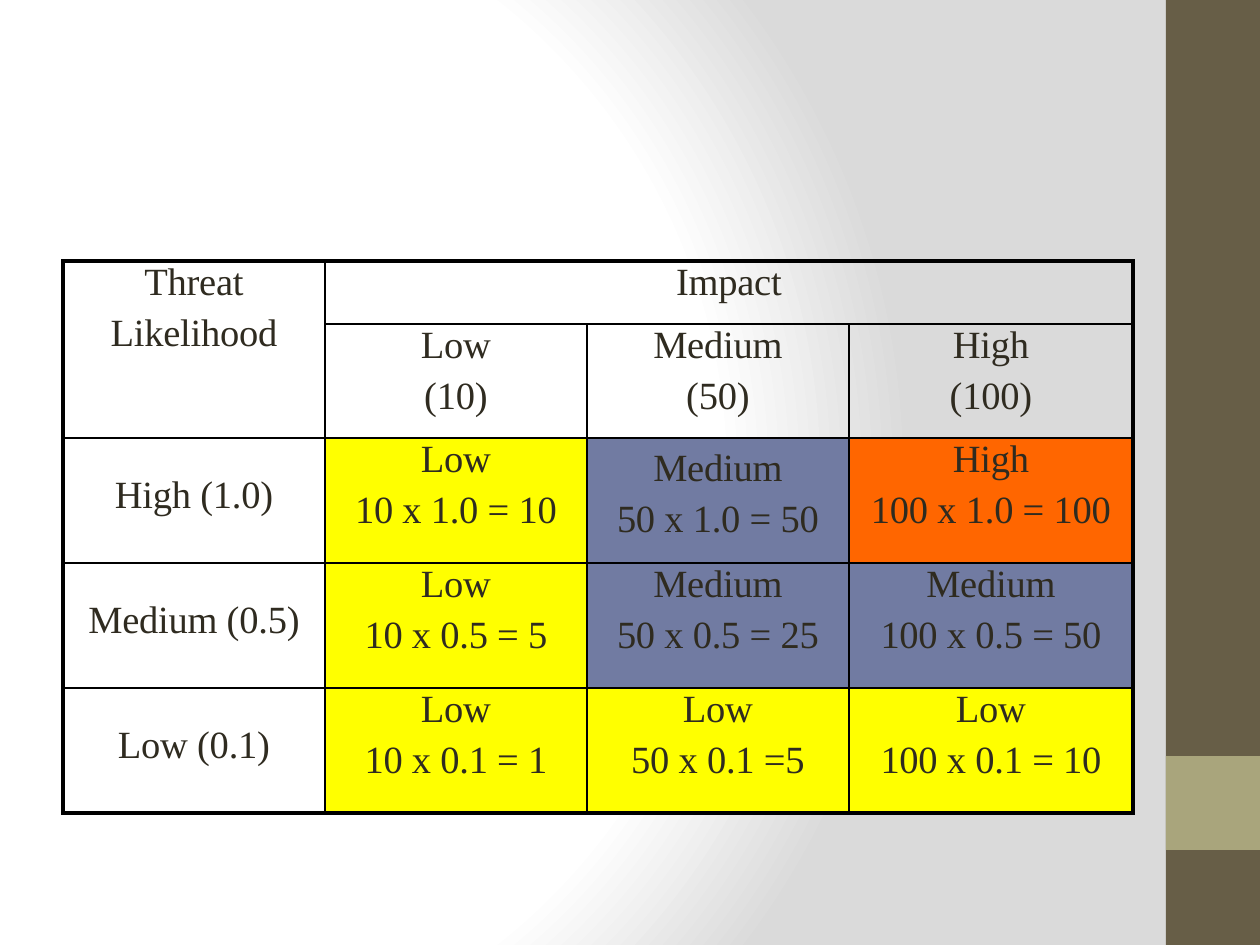
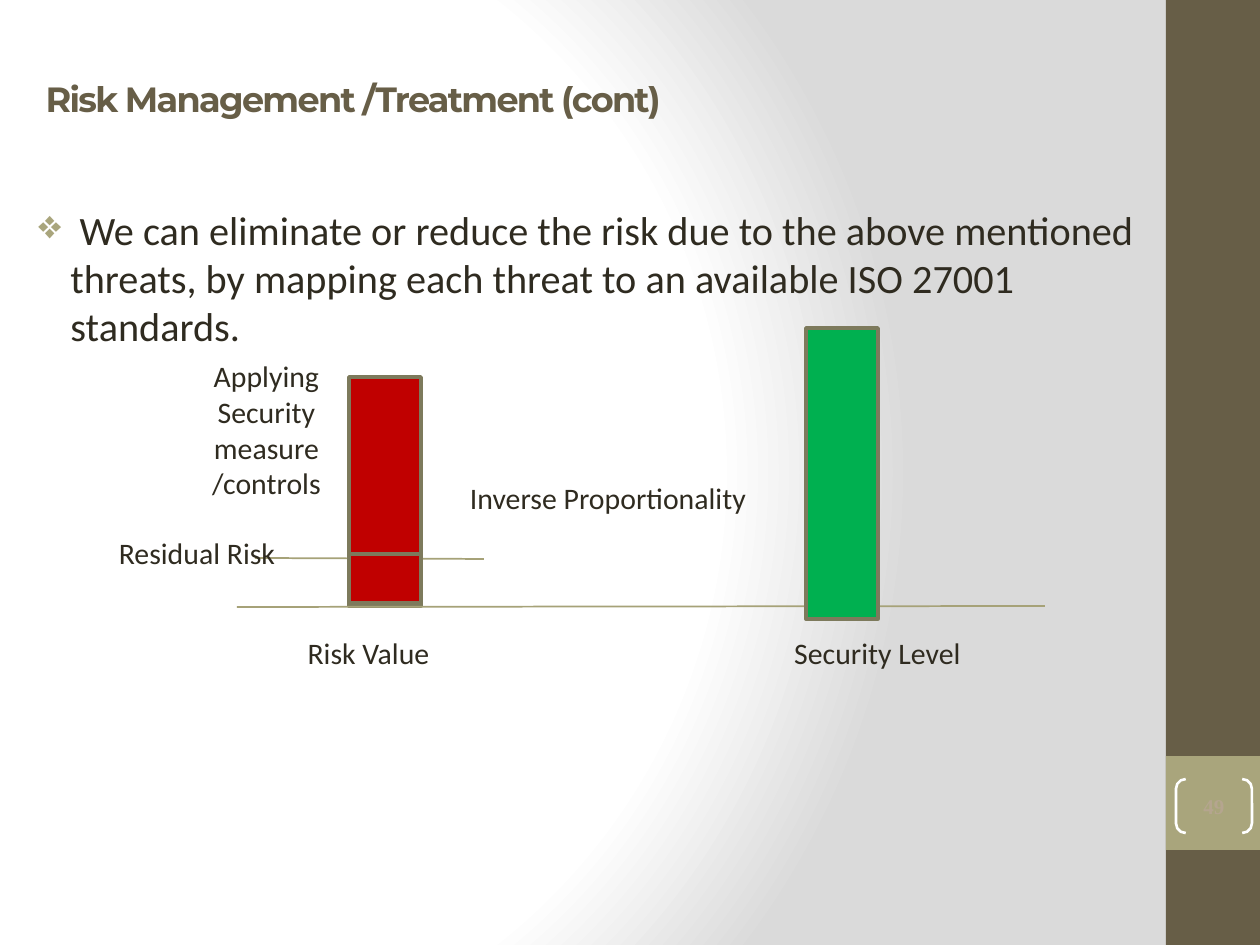
import lxml.etree
import pptx
import pptx.dml.color
import pptx.enum.shapes
import pptx.enum.text
import pptx.oxml
import pptx.oxml.ns
import pptx.util

EMU_PER_PX = 914400 / 126
SLIDE_WIDTH, SLIDE_HEIGHT = 1260, 945
BROWN, SAGE, INK, WHITE = "675E47", "A9A57C", "2F2B20", "FFFFFF"
BAR_EDGE, RULE, PAGE_NUMBER = "7D7A5C", "A6A278", "B5A58F"
RED, GREEN, BLACK = "C00000", "00B050", "000000"
LEVEL_FILLS = {"Low": "FFFF00", "Medium": "717BA2", "High": "FF6600"}
BODY_FONT, TABLE_FONT, TITLE_FONT = "Calibri", "Times New Roman", "Montserrat"
CENTER = pptx.enum.text.PP_ALIGN.CENTER
LEFT = pptx.enum.text.PP_ALIGN.LEFT
TOP = pptx.enum.text.MSO_ANCHOR.TOP
MIDDLE = pptx.enum.text.MSO_ANCHOR.MIDDLE
SHAPE = pptx.enum.shapes.MSO_SHAPE

RISK_ROWS = [
    ["Threat\nLikelihood", "Impact", "", ""],
    ["", "Low\n(10)", "Medium\n(50)", "High\n(100)"],
    ["High (1.0)", "Low\n10 x 1.0 = 10", "Medium\n50 x 1.0 = 50", "High\n100 x 1.0 = 100"],
    ["Medium (0.5)", "Low\n10 x 0.5 = 5", "Medium\n50 x 0.5 = 25", "Medium\n100 x 0.5 = 50"],
    ["Low (0.1)", "Low\n10 x 0.1 = 1", "Low\n50 x 0.1 =5", "Low\n100 x 0.1 = 10"],
]


def px(length):
    return pptx.util.Emu(round(length * EMU_PER_PX))


def place(left, top, width, height):
    return px(left), px(top), px(width), px(height)


def rgb(color):
    return pptx.dml.color.RGBColor.from_string(color)


def add_xml(parent, tag, **attributes):
    child = lxml.etree.SubElement(parent, pptx.oxml.ns.qn(tag))
    for key, value in attributes.items():
        child.set(key, str(value))
    return child


def format_text(frame, font, size, color=INK, align=CENTER, bold=False, spacing=0):
    for paragraph in frame.paragraphs:
        paragraph.alignment = align
        for run in paragraph.runs:
            run.font.name = font
            run.font.size = pptx.util.Pt(size)
            run.font.bold = bold
            run.font.color.rgb = rgb(color)
            if spacing:
                run._r.get_or_add_rPr().set("spc", str(spacing))


def set_background(master):
    fill = master.background.fill
    fill.solid()
    solid = next(master.element.iter(pptx.oxml.ns.qn("a:solidFill")))
    gradient = lxml.etree.Element(pptx.oxml.ns.qn("a:gradFill"), rotWithShape="1")
    stops = add_xml(gradient, "a:gsLst")
    for percent, color in [(0, WHITE), (75, WHITE), (100, "DADADA")]:
        stop = add_xml(stops, "a:gs", pos=percent * 1000)
        add_xml(stop, "a:srgbClr", val=color)
    focus = add_xml(gradient, "a:path", path="circle")
    add_xml(focus, "a:fillToRect", l=20000, t=50000, r=100000, b=50000)
    solid.getparent().replace(solid, gradient)


def add_block(slide, kind, box, fill=None, edge=None, weight=0):
    block = slide.shapes.add_shape(kind, *place(*box))
    block.shadow.inherit = False
    if fill:
        block.fill.solid()
        block.fill.fore_color.rgb = rgb(fill)
    else:
        block.fill.background()
    if edge:
        block.line.color.rgb = rgb(edge)
        block.line.width = pptx.util.Pt(weight)
    else:
        block.line.fill.background()
    return block


def add_side_band(slide, box):
    left, top, width, height = box
    add_block(slide, SHAPE.RECTANGLE, box, BROWN)
    add_block(slide, SHAPE.RECTANGLE, (left, top + 756, width, width), SAGE)


def add_page_number(slide, box, number):
    brackets = add_block(slide, SHAPE.DOUBLE_BRACKET, box, edge=WHITE, weight=1.5)
    brackets.adjustments[0] = 0.18
    frame = brackets.text_frame
    frame.text = number
    frame.vertical_anchor = MIDDLE
    format_text(frame, TABLE_FONT, 12, PAGE_NUMBER, bold=True)


def set_borders(cell, weights):
    properties = cell._tc.get_or_add_tcPr()
    for side, weight in zip("LRTB", weights):
        border = add_xml(properties, f"a:ln{side}", w=pptx.util.Pt(weight))
        add_xml(add_xml(border, "a:solidFill"), "a:srgbClr", val=BLACK)


def fill_cell(cell, text, fill, margin_top):
    cell.margin_left = cell.margin_right = cell.margin_bottom = 0
    cell.margin_top = px(margin_top)
    cell.vertical_anchor = TOP
    cell.text_frame.text = text
    for paragraph in cell.text_frame.paragraphs[1:]:
        paragraph.space_before = pptx.util.Pt(5.2)
    format_text(cell.text_frame, TABLE_FONT, 22, spacing=-10)
    if fill:
        cell.fill.solid()
        cell.fill.fore_color.rgb = rgb(fill)
    else:
        cell.fill.background()


def add_risk_matrix(slide, box):
    row_count, column_count = len(RISK_ROWS), len(RISK_ROWS[0])
    matrix = slide.shapes.add_table(row_count, column_count, *place(*box)).table
    matrix.first_row = matrix.horz_banding = False
    for column, width in zip(matrix.columns, [262, 262, 262, 284]):
        column.width = px(width)
    for row, height in zip(matrix.rows, [63, 114, 125, 125, 125]):
        row.height = px(height)
    matrix.cell(0, 0).merge(matrix.cell(1, 0))
    matrix.cell(0, 1).merge(matrix.cell(0, 3))
    for r, texts in enumerate(RISK_ROWS):
        for c, text in enumerate(texts):
            cell = matrix.cell(r, c)
            right = c + (cell.span_width if cell.is_merge_origin else 1)
            bottom = r + (cell.span_height if cell.is_merge_origin else 1)
            outer = [c == 0, right == column_count, r == 0, bottom == row_count]
            set_borders(cell, [2.25 if edge else 1 for edge in outer])
            if cell.is_spanned:
                continue
            rated = r > 1 and c > 0
            fill = LEVEL_FILLS[text.split("\n")[0]] if rated else None
            margin_top = 36 if r > 1 and c == 0 else 9 if (r, c) == (2, 2) else 0
            fill_cell(cell, text, fill, margin_top)


def set_title(slide, box, text):
    title = slide.shapes.title
    title.left, title.top, title.width, title.height = place(*box)
    title.text_frame.text = text
    title.text_frame.vertical_anchor = MIDDLE
    format_text(title.text_frame, TITLE_FONT, 20, BROWN, LEFT, bold=True, spacing=-100)


def add_bullet(slide, box, text):
    frame = slide.shapes.add_textbox(*place(*box)).text_frame
    frame.word_wrap = True
    frame.text = text
    format_text(frame, BODY_FONT, 23, align=LEFT)
    properties = frame.paragraphs[0]._p.get_or_add_pPr()
    properties.set("marL", str(px(48)))
    properties.set("indent", str(-px(32)))
    add_xml(add_xml(properties, "a:buClr"), "a:srgbClr", val=SAGE)
    add_xml(properties, "a:buChar", char="❖")


def add_label(slide, box, text):
    frame = slide.shapes.add_textbox(*place(*box)).text_frame
    frame.word_wrap = True
    frame.vertical_anchor = MIDDLE
    frame.margin_left = frame.margin_right = px(9)
    frame.margin_top = frame.margin_bottom = px(5)
    frame.text = text
    format_text(frame, BODY_FONT, 17)


def add_rule(slide, start, end):
    rule = slide.shapes.add_connector(
        pptx.enum.shapes.MSO_CONNECTOR.STRAIGHT, *map(px, start + end))
    rule.line.color.rgb = rgb(RULE)
    rule.line.width = pptx.util.Pt(1)
    add_xml(rule._element.spPr, "a:effectLst")


def add_risk_security_diagram(slide, box):
    left, top = box[:2]

    def inside(x, y, width, height):
        return left + x, top + y, width, height

    def add_bar(x, y, height, fill):
        add_block(slide, SHAPE.FLOWCHART_PROCESS, inside(x, y, 72, height), fill, BAR_EDGE, 2)

    risk_x, security_x = 261, 718
    add_bar(risk_x, 49, 229, RED)
    add_rule(slide, (left + 149, top + 279), (left + 957, top + 278))
    add_rule(slide, (left + 167, top + 230), (left + 396, top + 231))
    for text, label_box in [
        ("Risk Value", (193, 296, 175, 57)),
        ("Security Level", (645, 296, 289, 57)),
        ("Inverse Proportionality", (338, 141, 364, 57)),
        ("Applying Security measure /controls", (91, 50, 175, 103)),
        ("Residual Risk", (0, 196, 218, 57)),
    ]:
        add_label(slide, inside(*label_box), text)
    add_bar(security_x, 0, 291, GREEN)
    add_bar(risk_x, 226, 49, RED)


def main():
    deck = pptx.Presentation()
    deck.slide_width, deck.slide_height = px(SLIDE_WIDTH), px(SLIDE_HEIGHT)
    set_background(deck.slide_master)
    title_only, blank = deck.slide_layouts[5], deck.slide_layouts[6]
    matrix_slide, treatment_slide = map(deck.slides.add_slide, (blank, title_only))
    for slide in deck.slides:
        add_side_band(slide, (1166, 0, 94, SLIDE_HEIGHT))

    add_risk_matrix(matrix_slide, (63, 261, 1070, 552))

    set_title(treatment_slide, (33, 38, 1200, 120), "Risk Management /Treatment (cont)")
    add_bullet(
        treatment_slide, (10, 199, 1152, 427),
        " We can eliminate or reduce the risk due to the above mentioned threats, "
        "by mapping each threat to an available ISO 27001 standards.")
    add_page_number(treatment_slide, (1176, 779, 76, 54), "49")
    add_risk_security_diagram(treatment_slide, (88, 328, 957, 353))
    deck.save("out.pptx")


if __name__ == "__main__":
    main()
